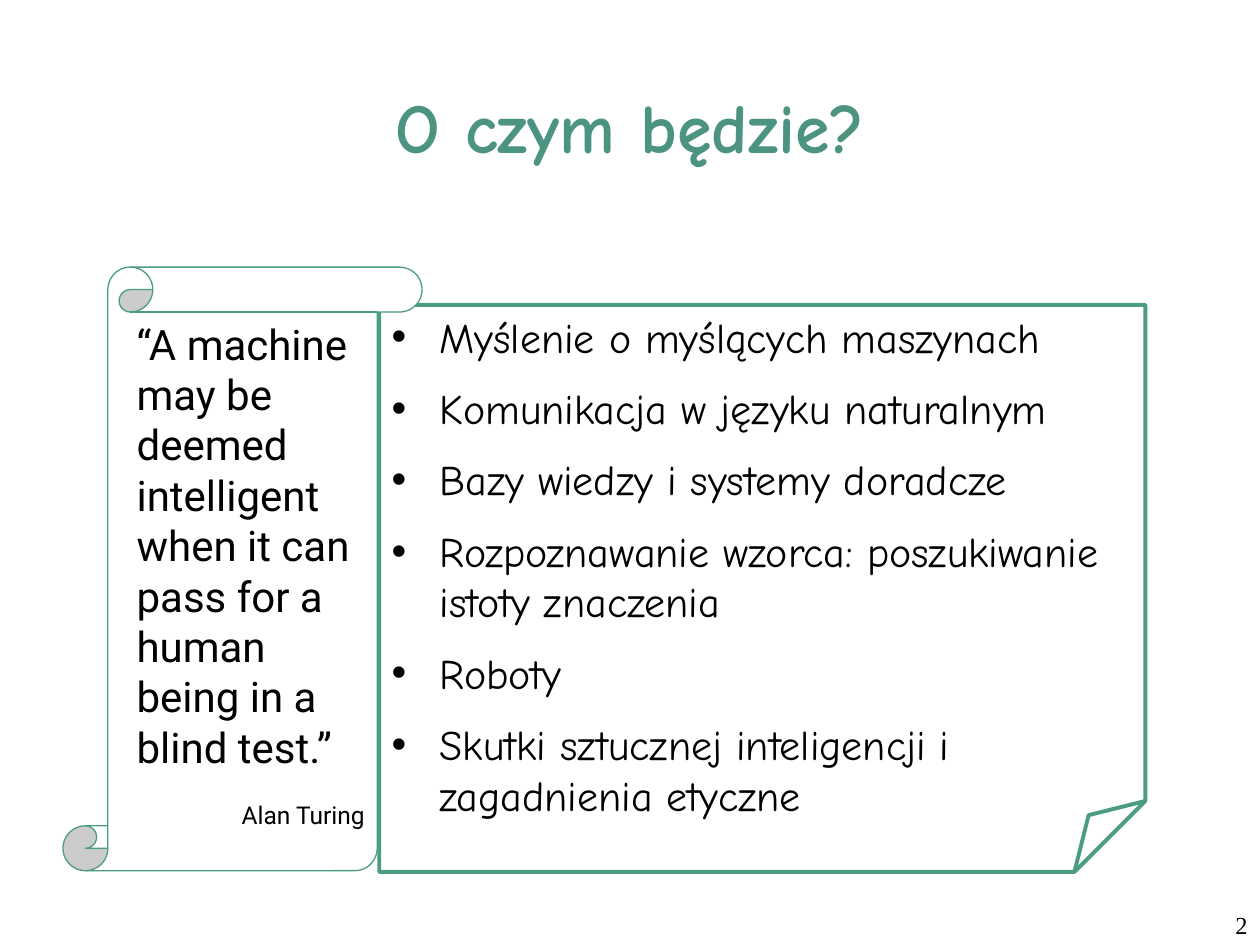
import pptx
import pptx.util
import pptx.dml.color
import pptx.enum.shapes
import pptx.enum.text
import pptx.oxml.ns
from lxml import etree

Inches, Pt = pptx.util.Inches, pptx.util.Pt
SHAPE = pptx.enum.shapes.MSO_SHAPE
ALIGN = pptx.enum.text.PP_ALIGN
ANCHOR = pptx.enum.text.MSO_ANCHOR

COLORS = {"title": "4C9481", "edge": "4C9C7E", "text": "000000", "paper": "FFFFFF"}
TITLE = {"size": Pt(40), "name": "Comic Neue", "bold": True}
TOPIC = {"size": Pt(24), "name": "Comic Neue"}
QUOTE = {"size": Pt(24), "name": "Roboto"}
AUTHOR = {"size": Pt(14), "name": "Roboto"}
NUMBER = {"size": Pt(14), "name": "Times New Roman"}
TOPICS = [
    "Myślenie o myślących maszynach",
    "Komunikacja w języku naturalnym",
    "Bazy wiedzy i systemy doradcze",
    "Rozpoznawanie wzorca: poszukiwanie istoty znaczenia",
    "Roboty",
    "Skutki sztucznej inteligencji i zagadnienia etyczne",
]


def color(name):
    """Return the named colour."""
    return pptx.dml.color.RGBColor.from_string(COLORS[name])


def apply(target, values):
    """Set each given attribute on the target."""
    for name, value in values.items():
        setattr(target, name, value)


def place(box, left, top, width, height):
    """Move and size a box, in inches."""
    apply(box, {"left": Inches(left), "top": Inches(top),
                "width": Inches(width), "height": Inches(height)})


def add_element(parent, tag, **attributes):
    """Append a drawing element with its attributes."""
    return etree.SubElement(parent, pptx.oxml.ns.qn(tag), attributes)


def indent(para, left, first=0):
    """Set the left margin and first-line indent of a paragraph, in inches."""
    properties = para._p.get_or_add_pPr()
    properties.set("marL", str(Inches(left)))
    properties.set("indent", str(Inches(first)))
    return properties


def write(para, text, font, tint="text", align=ALIGN.LEFT):
    """Fill a paragraph with one formatted span."""
    para.alignment = align
    span = para.add_run()
    span.text = text
    apply(span.font, font)
    span.font.color.rgb = color(tint)


def add_title(page, text):
    """Place and format the title placeholder."""
    title = page.shapes.title
    place(title, 0.75, 0.33, 8.5, 1.33)
    apply(title.text_frame, {"word_wrap": True, "vertical_anchor": ANCHOR.MIDDLE})
    write(title.text_frame.paragraphs[0], text, TITLE, "title", ALIGN.CENTER)


def add_panel(page, kind, area, weight, fill=None):
    """Add an outlined panel and return its text frame."""
    panel = page.shapes.add_shape(kind, *map(Inches, area))
    panel.shadow.inherit = False
    geometry = panel._element.spPr.find(pptx.oxml.ns.qn("a:prstGeom"))
    for child in list(geometry):
        geometry.remove(child)
    add_element(add_element(geometry, "a:avLst"), "a:gd", name="adj", fmla="val 12500")
    if fill:
        panel.fill.solid()
        panel.fill.fore_color.rgb = color(fill)
    else:
        panel.fill.background()
    panel.line.color.rgb = color("edge")
    panel.line.width = Pt(weight)
    apply(panel.text_frame, {"word_wrap": True, "vertical_anchor": ANCHOR.TOP})
    return panel.text_frame


def add_topics(page, topics):
    """Add the folded sheet with its bulleted topics."""
    frame = add_panel(page, SHAPE.FOLDED_CORNER, (3.01, 2.42, 6.08, 4.5), 2.25)
    for index, topic in enumerate(topics):
        para = frame.add_paragraph() if index else frame.paragraphs[0]
        properties = indent(para, 0.38, -0.38)
        add_element(properties, "a:buFont", typeface="Arial")
        add_element(properties, "a:buChar", char="•")
        apply(para, {"space_before": Pt(6 if index else 0), "space_after": Pt(6)})
        write(para, topic, TOPIC)


def add_quote(page, quote, author):
    """Add the scroll with a quotation and its author."""
    frame = add_panel(page, SHAPE.VERTICAL_SCROLL, (0.5, 2.12, 2.85, 4.79), 0.75, "paper")
    indent(frame.paragraphs[0], 0.13)
    write(frame.paragraphs[0], quote, QUOTE)
    para = frame.add_paragraph()
    indent(para, 0.13)
    para.space_before = Pt(16)
    write(para, author, AUTHOR, align=ALIGN.RIGHT)


def add_number(page, number):
    """Add the page number in the lower right corner."""
    box = page.shapes.add_textbox(*map(Inches, (7.92, 7.17, 2.08, 0.33)))
    box.text_frame.word_wrap = True
    write(box.text_frame.paragraphs[0], number, NUMBER, align=ALIGN.RIGHT)


def main():
    """Build the slide and save it."""
    deck = pptx.Presentation()
    apply(deck, {"slide_width": Inches(10), "slide_height": Inches(7.5)})
    page = deck.slides.add_slide(deck.slide_layouts[5])
    add_title(page, "O czym będzie?")
    add_topics(page, TOPICS)
    add_quote(page, "“A machine may be deemed intelligent when it can pass "
                    "for a human being in a blind test.”", "Alan Turing")
    add_number(page, "2")
    deck.save("out.pptx")


if __name__ == "__main__":
    main()
